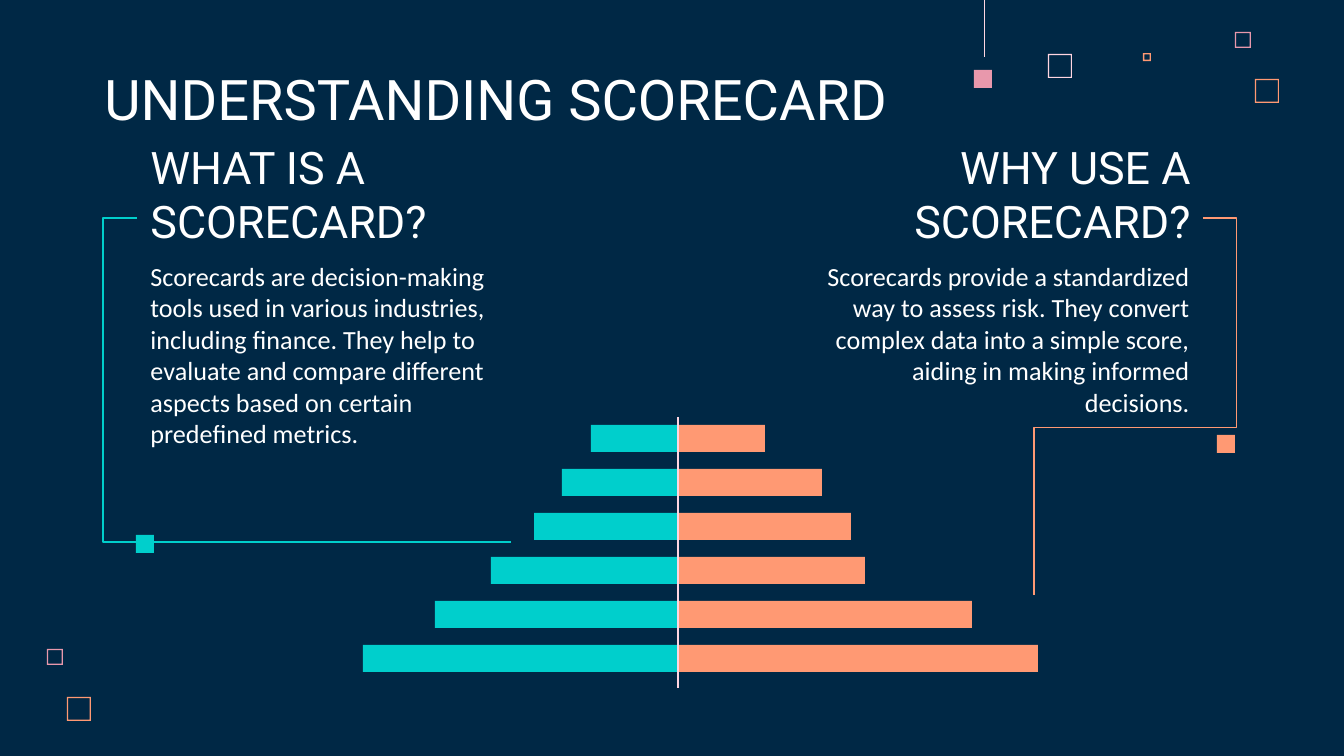
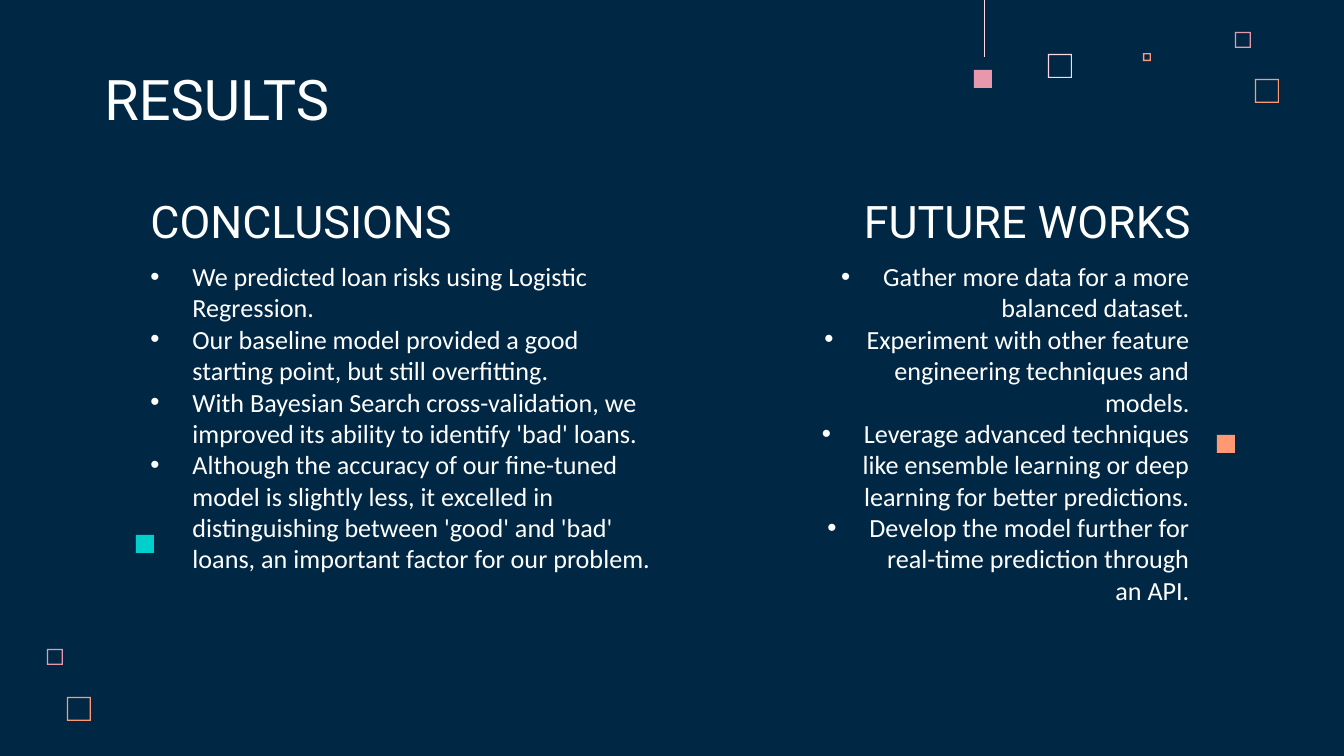
from lxml import etree
from pptx import Presentation
from pptx import util as u
from pptx.dml.color import RGBColor
from pptx.enum import shapes, text
from pptx.oxml.ns import qn

PX = 914400 / 134.4
COLORS = {
    "navy": "002845",
    "white": "FFFFFF",
    "blush": "FFD6E1",
    "pink": "E898AC",
    "orange": "FF9973",
    "teal": "00CFCC",
}
LEFT, RIGHT = text.PP_ALIGN.LEFT, text.PP_ALIGN.RIGHT
FRAME, RECTANGLE = shapes.MSO_SHAPE.FRAME, shapes.MSO_SHAPE.RECTANGLE
STRAIGHT, ELBOW = shapes.MSO_CONNECTOR.STRAIGHT, shapes.MSO_CONNECTOR.ELBOW

FRAMES = [
    (1048, 54, 24, "blush"),
    (1235, 32, 16, "pink"),
    (1143, 53, 8, "orange"),
    (1255, 79, 24, "orange"),
    (47, 649, 16, "pink"),
    (67, 697, 24, "orange"),
]
SQUARES = [(974, 70, "pink"), (136, 535, "teal"), (1217, 435, "orange")]
SQUARE_SIZE = 18

PAGES = [
    {
        "title": "UNDERSTANDING SCORECARD",
        "bullets": False,
        "left_width": 386,
        "columns": [
            ("WHAT IS A SCORECARD?", [
                "Scorecards are decision-making tools used in various industries, including finance. "
                "They help to evaluate and compare different aspects based on certain predefined metrics.",
            ]),
            ("WHY USE A SCORECARD?", [
                "Scorecards provide a standardized way to assess risk. They convert complex data "
                "into a simple score, aiding in making informed decisions.",
            ]),
        ],
    },
    {
        "title": "RESULTS",
        "bullets": True,
        "left_width": 535,
        "columns": [
            ("CONCLUSIONS", [
                "We predicted loan risks using Logistic Regression.",
                "Our baseline model provided a good starting point, but still overfitting.",
                "With Bayesian Search cross-validation, we improved its ability to identify 'bad' loans.",
                "Although the accuracy of our fine-tuned model is slightly less, it excelled in "
                "distinguishing between 'good' and 'bad' loans, an important factor for our problem.",
            ]),
            ("FUTURE WORKS", [
                "Gather more data for a more balanced dataset.",
                "Experiment with other feature engineering techniques and models.",
                "Leverage advanced techniques like ensemble learning or deep learning for better predictions.",
                "Develop the model further for real-time prediction through an API.",
            ]),
        ],
    },
]

AXIS_X = 678
BAR_TOP, BAR_HEIGHT, BAR_PITCH = 425, 27, 44
BAR_WIDTHS = [(87, 87), (116, 144), (144, 173), (187, 187), (243, 294), (315, 360)]

BRACKETS = [
    ((137, 218, 511, 542), "teal", "bentConnector3", {"adj1": -9091}),
    ((1203, 218, 1034, 595), "orange", "bentConnector4", {"adj1": -19900, "adj2": 55600}),
]


def add_block(page, kind, bounds, color):
    block = page.shapes.add_shape(kind, *[round(value * PX) for value in bounds])
    block.shadow.inherit = False
    block.fill.solid()
    block.fill.fore_color.rgb = RGBColor.from_string(COLORS[color])
    block.line.fill.background()
    return block


def add_line(page, kind, ends, color, width=0.75):
    line = page.shapes.add_connector(kind, *[round(value * PX) for value in ends])
    line.line.color.rgb = RGBColor.from_string(COLORS[color])
    line.line.width = u.Pt(width)
    etree.SubElement(line._element.spPr, qn("a:effectLst"))
    return line


deck = Presentation()
deck.slide_width, deck.slide_height = round(1344 * PX), round(756 * PX)
background = deck.slide_master.background.fill
background.solid()
background.fore_color.rgb = RGBColor.from_string(COLORS["navy"])

for content in PAGES:
    page = deck.slides.add_slide(deck.slide_layouts.get_by_name("Comparison"))

    for left, top, size, color in FRAMES:
        frame = add_block(page, FRAME, (left, top, size, size), color)
        frame.adjustments[0] = round(1.3 / size, 2)
    for left, top, color in SQUARES:
        add_block(page, RECTANGLE, (left, top, SQUARE_SIZE, SQUARE_SIZE), color)
    add_line(page, STRAIGHT, (984, 0, 984, 57), "blush", 0.5)

    (left_head, left_body), (right_head, right_body) = content["columns"]
    texts = [
        (0, (91, 60, 905, 85), [content["title"]], 30, LEFT),
        (1, (137, 176, 426, 85), [left_head], 24, LEFT),
        (2, (137, 247, content["left_width"], 164), left_body, 14, LEFT),
        (3, (766, 176, 438, 85), [right_head], 24, RIGHT),
        (4, (801, 247, 402, 164), right_body, 14, RIGHT),
    ]
    for index, bounds, lines, size, alignment in texts:
        is_body = size == 14
        box = page.placeholders[index]
        box.left, box.top, box.width, box.height = [round(value * PX) for value in bounds]
        frame = box.text_frame
        frame.text = "\n".join(lines)
        frame.word_wrap = True
        frame.auto_size = text.MSO_AUTO_SIZE.NONE
        frame.vertical_anchor = text.MSO_ANCHOR.TOP if is_body else text.MSO_ANCHOR.BOTTOM
        frame.margin_left = frame.margin_right = u.Inches(0.1)
        frame.margin_top = frame.margin_bottom = u.Inches(0.1)
        for para in frame.paragraphs:
            para.alignment = alignment
            para.line_spacing = 1.0
            para.space_before = para.space_after = u.Pt(0)
            properties = para._p.get_or_add_pPr()
            indent = round(42 * PX) if is_body and content["bullets"] else 0
            properties.set("marL", str(indent))
            properties.set("indent", str(-indent))
            if indent:
                bullet_color = etree.SubElement(properties, qn("a:buClr"))
                etree.SubElement(bullet_color, qn("a:srgbClr"), val=COLORS["white"])
                etree.SubElement(properties, qn("a:buFont"), typeface="Arial")
                etree.SubElement(properties, qn("a:buChar"), char="•")
            else:
                etree.SubElement(properties, qn("a:buNone"))
            for span in para.runs:
                span.font.name = "Calibri" if is_body else "Roboto"
                span.font.size = u.Pt(size)
                span.font.bold = False
                span.font.color.rgb = RGBColor.from_string(COLORS["white"])

scorecard = deck.slides[0]
for row, (left_width, right_width) in enumerate(BAR_WIDTHS):
    top = BAR_TOP + row * BAR_PITCH
    add_block(scorecard, RECTANGLE, (AXIS_X - left_width, top, left_width, BAR_HEIGHT), "teal")
    add_block(scorecard, RECTANGLE, (AXIS_X, top, right_width, BAR_HEIGHT), "orange")
add_line(scorecard, STRAIGHT, (AXIS_X, 417, AXIS_X, 688), "blush")

for ends, color, preset, adjustments in BRACKETS:
    bracket = add_line(scorecard, ELBOW, ends, color)
    geometry = bracket._element.spPr.find(qn("a:prstGeom"))
    geometry.set("prst", preset)
    guides = geometry.find(qn("a:avLst"))
    for name, value in adjustments.items():
        etree.SubElement(guides, qn("a:gd"), name=name, fmla=f"val {value}")

deck.save("out.pptx")
